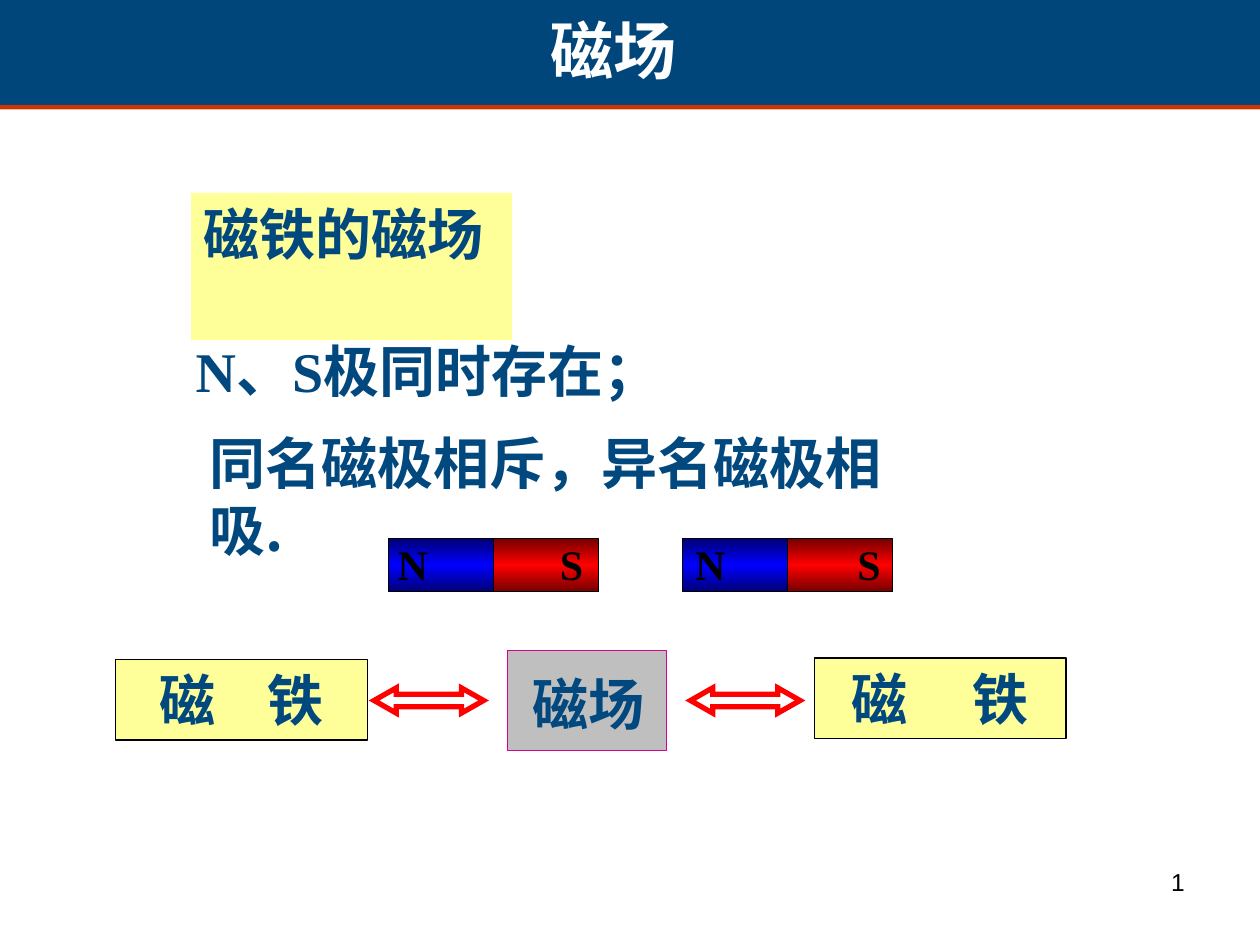
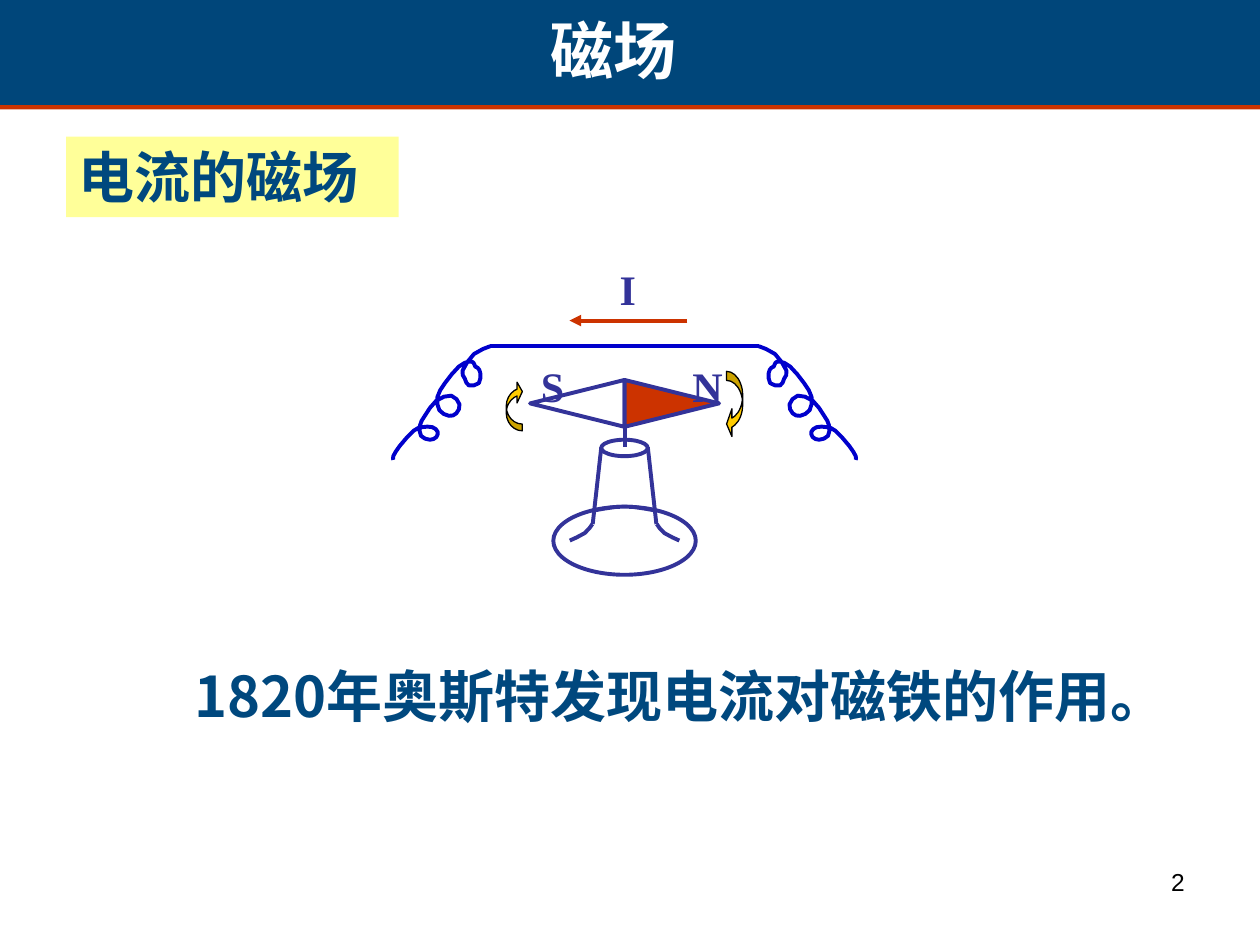
from copy import deepcopy

from lxml import etree
from pptx import Presentation
from pptx.dml.color import RGBColor
from pptx.enum import shapes, text
from pptx.oxml.ns import qn
from pptx.util import Pt

NAVY, BAND, RUST = "00487E", "00467A", "CC3300"
YELLOW, GOLD, WHITE, BLACK = "FFFF99", "FFCC00", "FFFFFF", "000000"
WIRE, STAND = "0000CC", "333399"
BLUES = ("000076", "0000FF", "000076")
REDS = ("760000", "FF0000", "760000")
SERIF, SANS = "Times New Roman", "Noto Sans CJK SC"
LEFT, MID, RIGHT = text.PP_ALIGN.LEFT, text.PP_ALIGN.CENTER, text.PP_ALIGN.RIGHT
KIND = shapes.MSO_SHAPE
AXIS = 356.9  # vertical axis of the compass

# Right half of the coil, as distance from the axis and height on the slide
COIL = [(76.7, 197.8), (86, 202.3), (92.5, 211.7), (91.3, 216.3),
        (88.9, 220.3), (83.2, 218.9), (82.4, 213.1), (83.9, 210.2),
        (85.3, 209.5), (86.3, 207.3), (88.9, 206.6), (94.7, 209.5),
        (102.6, 218.9), (106.9, 226.8), (105.8, 234.4), (100.4, 237.6),
        (96.1, 236.2), (94.3, 231.1), (99, 226.1), (107.6, 229),
        (114.1, 237.6), (116.9, 243.1), (116.3, 249.1), (111.2, 251.3),
        (107.6, 249.8), (106.8, 246.7), (109.8, 244.1), (115.6, 244.1),
        (120.6, 246.2), (128.5, 254.9), (132.1, 260.6), (132.1, 262.8)]
FOOT = [(18.4, 299.5), (22.7, 304.6), (31.3, 308.9)]
RIM = [(-17, 291.6), (-5, 289.7), (5, 289.7), (17, 291.6)]


def tint(code):
    return RGBColor.from_string(code)


def paint(shape, fill=None, line=None, weight=0.75):
    shape.shadow.inherit = False
    if fill:
        shape.fill.solid()
        shape.fill.fore_color.rgb = tint(fill)
    else:
        shape.fill.background()
    if line:
        shape.line.color.rgb = tint(line)
        shape.line.width = Pt(weight)
    else:
        shape.line.fill.background()
    return shape


def block(slide, kind, x, y, w, h, *style):
    shape = slide.shapes.add_shape(kind, Pt(x), Pt(y), Pt(w), Pt(h))
    return paint(shape, *style)


def write(shape, words, size, color, face=SERIF, align=LEFT, bold=True):
    frame = shape.text_frame
    frame.word_wrap = True
    frame.vertical_anchor = text.MSO_ANCHOR.TOP
    para = frame.paragraphs[0]
    para.text = words
    para.alignment = align
    font = para.font
    font.size, font.bold, font.name = Pt(size), bold, face
    font.color.rgb = tint(color)
    props = para._p.find(".//" + qn("a:defRPr"))
    etree.SubElement(props, qn("a:ea"), typeface=SANS)
    return para


def label(slide, x, y, w, h, words, *style, **more):
    box = slide.shapes.add_textbox(Pt(x), Pt(y), Pt(w), Pt(h))
    return write(box, words, *style, **more)


def panel(slide, x, y, w, h, words, line=None, weight=0.75, align=LEFT):
    shape = block(slide, KIND.RECTANGLE, x, y, w, h, YELLOW, line, weight)
    return write(shape, words, 32, NAVY, align=align)


def iron(slide, x, y, weight, gap):
    """Panel whose two characters stand apart by a widened space."""
    para = panel(slide, x, y, 144, 46, "磁", BLACK, weight, MID)
    space, last = para.add_run(), para.add_run()
    space.text, last.text = " ", "铁"
    space.font._element.set("spc", str(gap))


def rule(slide, x1, y1, x2, y2, color):
    line = slide.shapes.add_connector(
        shapes.MSO_CONNECTOR.STRAIGHT, Pt(x1), Pt(y1), Pt(x2), Pt(y2))
    line.line.color.rgb = tint(color)
    line.line.width = Pt(2.25)
    etree.SubElement(line._element.spPr, qn("a:effectLst"))
    return line


def trace(slide, points, *style):
    spots = [(Pt(x), Pt(y)) for x, y in points]
    pen = slide.shapes.build_freeform(*spots[0])
    pen.add_line_segments(spots[1:], close=False)
    return paint(pen.convert_to_shape(), *style)


def smooth(knots, steps=2):
    """Points of a Catmull-Rom curve through the knots."""
    ends = [knots[0], *knots, knots[-1]]
    curve = [knots[0]]
    for a, b, c, d in zip(ends, ends[1:], ends[2:], ends[3:]):
        for n in range(1, steps + 1):
            t = n / steps
            curve.append(tuple(
                q + t / 2 * (r - p + t * (2 * p - 5 * q + 4 * r - s
                                          + t * (3 * (q - r) + s - p)))
                for p, q, r, s in zip(a, b, c, d)))
    return curve


def place(points, side=1):
    return [(AXIS + side * dx, y) for dx, y in points]


def adjust(shape, *values):
    for n, value in enumerate(values):
        shape.adjustments[n] = value


def swirl(slide, x, y, w, h, turn, *values):
    arrow = block(slide, KIND.CURVED_LEFT_ARROW, x, y, w, h, GOLD, BLACK)
    adjust(arrow, *values)
    arrow.rotation = turn


def magnet(slide, x, shift):
    y, half, high = 307.8, 60, 30.2
    for n, shades in enumerate((BLUES, REDS)):
        pole = block(slide, KIND.RECTANGLE, x + n * half, y, half, high,
                     WHITE, BLACK)
        pole.fill.gradient()
        pole.fill.gradient_angle = 90
        stops = pole._element.spPr.find(".//" + qn("a:gsLst"))
        stops.append(deepcopy(stops[0]))
        for k, (stop, shade) in enumerate(zip(pole.fill.gradient_stops, shades)):
            stop.position = k / 2
            stop.color.rgb = tint(shade)
    label(slide, x - 0.9 + shift, 304, 36, 36, "N", 24, BLACK)
    label(slide, x + 91.9 + shift, 304, 36, 36, "S", 24, BLACK)


def base(deck, number):
    """New slide with band, title and page number."""
    slide = deck.slides.add_slide(deck.slide_layouts[6])
    block(slide, KIND.RECTANGLE, 0, 57, 720, 5.6, RUST)
    block(slide, KIND.RECTANGLE, 0, 0, 720, 60, BAND)
    label(slide, 186.3, 3.2, 329, 50.4, "磁场", 36, WHITE, SANS, MID)
    label(slide, 516, 491.8, 168, 37.4, str(number), 14, BLACK, "Arial",
          RIGHT, bold=False)
    return slide


def poles(deck):
    slide = base(deck, 1)
    panel(slide, 109.3, 110.2, 183.4, 84.2, "磁铁的磁场")
    label(slide, 104.7, 188.6, 310, 46, "N、S极同时存在；", 32, NAVY)
    label(slide, 112.7, 241.4, 420, 46, "同名磁极相斥，异名磁极相吸.",
          32, NAVY, SANS)
    magnet(slide, 222, -1)
    magnet(slide, 390, 1)

    # Magnet, field, magnet
    iron(slide, 66, 376.8, 0.75, 2230)
    iron(slide, 465.4, 376, 1, 2970)
    block(slide, KIND.RECTANGLE, 290, 371.9, 90.7, 56.9, "BFBFBF", "D60093")
    label(slide, 297.4, 379, 132.5, 46, "磁场", 32, NAVY)
    for x in (213.8, 394.6):
        arrow = block(slide, KIND.LEFT_RIGHT_ARROW, x, 393.1, 62.6, 14.4,
                      WHITE, "FF0000", 3)
        adjust(arrow, 0.5, 0.88)
        etree.SubElement(arrow.line._get_or_add_ln(), qn("a:miter"),
                         lim="800000")


def compass(deck):
    slide = base(deck, 2)
    panel(slide, 37.8, 78.1, 190, 46, "电流的磁场")
    ink = (STAND, 2.25)

    # Stand
    block(slide, KIND.OVAL, AXIS - 40.7, 289.6, 81.4, 38.9, WHITE, *ink)
    rule(slide, AXIS, 241.2, AXIS, 255.6, STAND)
    block(slide, KIND.OVAL, AXIS - 13.3, 251.3, 26.6, 9.4, None, *ink)
    trace(slide, smooth(place(RIM)), WHITE, *ink)

    # Halves of wire, neck and foot
    rule(slide, AXIS - 76.7, 197.8, AXIS + 76.7, 197.8, WIRE)
    for side in (-1, 1):
        trace(slide, smooth(place(COIL, side)), None, WIRE, 2.25)
        rule(slide, AXIS + side * 13.3, 255.6, AXIS + side * 18.2, 299.5, STAND)
        trace(slide, smooth(place(FOOT, side)), None, *ink)
        needle = block(slide, KIND.ISOSCELES_TRIANGLE,
                       AXIS + side * 27 - 13.4, 203.5, 26.8, 54,
                       RUST if side > 0 else None, *ink)
        needle.rotation = side * 90 % 360

    # Current and turning arrows
    flow = rule(slide, 392.8, 183.2, 325.4, 183.2, RUST)
    etree.SubElement(flow.line._get_or_add_ln(), qn("a:tailEnd"),
                     type="triangle")
    swirl(slide, 415.2, 212.2, 9.2, 38, 0, 0.56, 1.72, 0.33)
    swirl(slide, 289.3, 217.8, 9.2, 28.4, 180, 0.42, 1.29, 0.33)
    for x, y, name in ((347, 146.9, "I"), (388.6, 202.3, "N"),
                       (302, 202.3, "S")):
        label(slide, x, y, 37.4, 36, name, 24, STAND)

    note = label(slide, 103.8, 374.4, 580, 46, "1820年", 32, NAVY, SANS)
    run = note.add_run()
    run.text = "奥斯特发现电流对磁铁的作用。"
    run.font.name = SERIF


def main():
    deck = Presentation()
    deck.slide_width, deck.slide_height = Pt(720), Pt(540)
    poles(deck)
    compass(deck)
    deck.save("out.pptx")


if __name__ == "__main__":
    main()
